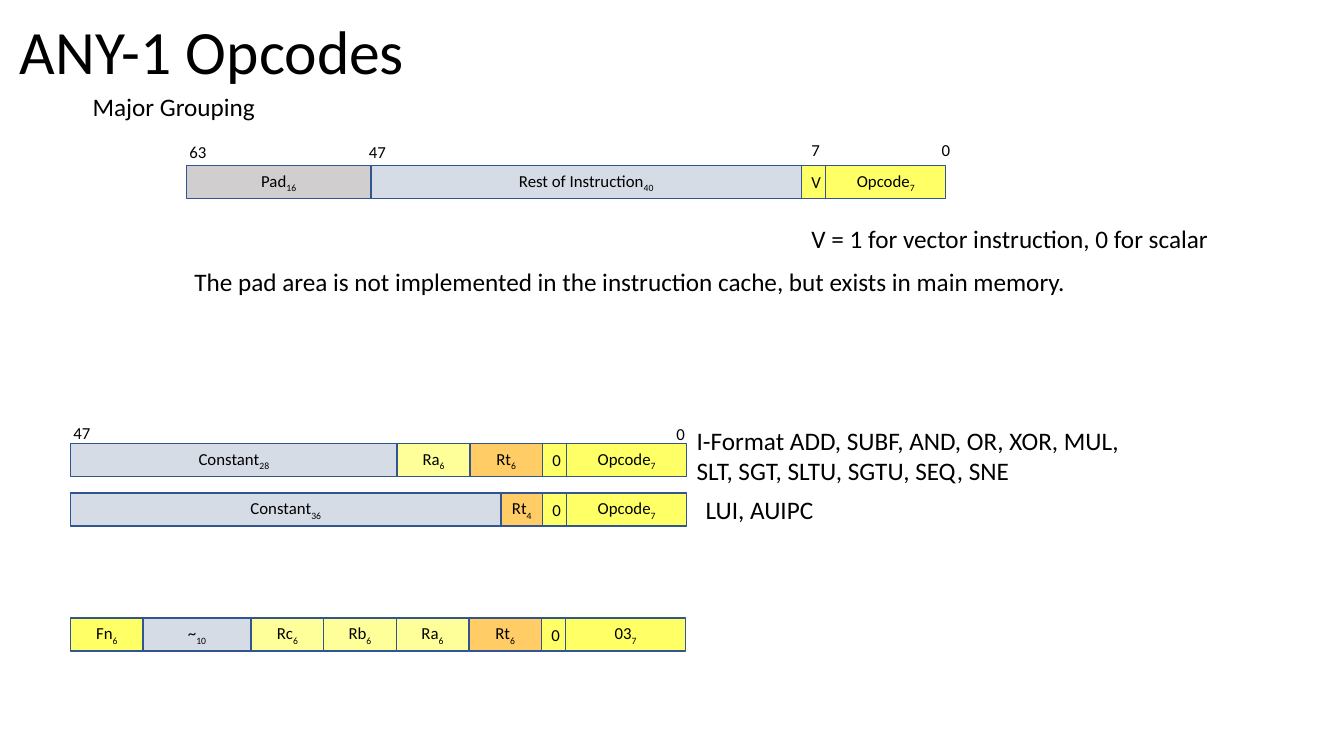
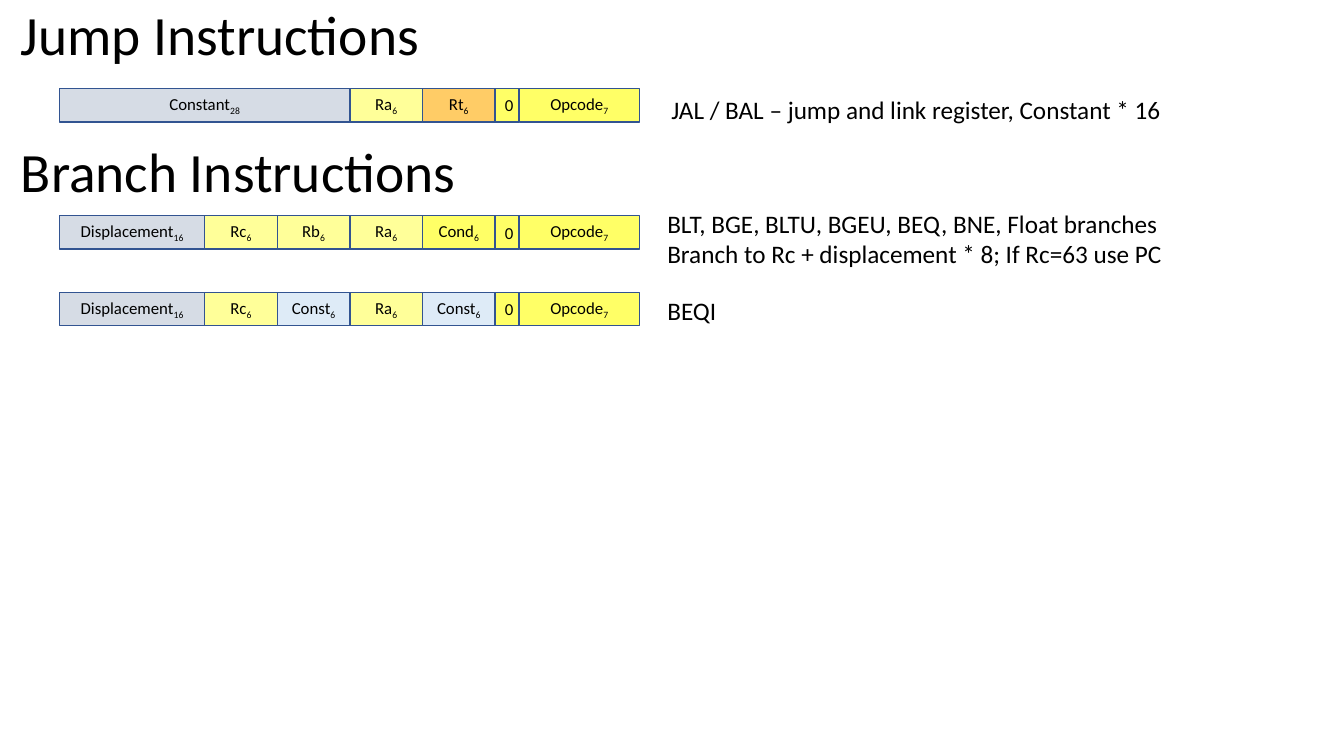
from pptx import Presentation
from pptx import util as u
from pptx.dml.color import RGBColor
from pptx.enum import shapes, text

SLIDE_WIDTH, SLIDE_HEIGHT = 13.33, 7.5
FONT = "Calibri"
COLOURS = {
    "ink": "000000", "outline": "325491", "code": "FFFF66", "source": "FFFF99",
    "target": "FFCC66", "value": "D6DCE5", "constant": "DEEBF7", "pad": "D0CECE",
}
FIELD_HEIGHT, REGISTER, FLAG, CODE = 0.33, 0.72, 0.24, 1.19
TITLE_WIDTH = 11.5
LABEL_SIZE, NOTE_SIZE = 12, 18

OPCODE = ("Opcode", "7", "code", CODE)
SCALAR = ("0", "", "code", FLAG)
RA, RB, RC = [(name, "6", "source", REGISTER) for name in ("Ra", "Rb", "Rc")]
RT = ("Rt", "6", "target", REGISTER)
CONST = ("Const", "6", "constant", REGISTER)
DISPLACEMENT = ("Displacement", "16", "value", 2 * REGISTER)

SLIDES = [
    {
        "titles": [("ANY-1 Opcodes", 0.1, 0.1, 0.89, 44, 0.9)],
        "formats": [
            (1.85, 1.64, [("Pad", "16", "pad", 1.83),
                          ("Rest of Instruction", "40", "value", 4.27),
                          ("V", "", "code", FLAG), OPCODE]),
            (0.7, 4.4, [("Constant", "28", "value", 3.24), RA, RT, SCALAR, OPCODE]),
            (0.7, 4.89, [("Constant", "36", "value", 4.27),
                         ("Rt", "4", "target", 0.41), SCALAR, OPCODE]),
            (0.7, 6.13, [("Fn", "6", "code", REGISTER), ("~", "10", "value", 1.07),
                         RC, RB, RA, RT, SCALAR, ("03", "7", "code", CODE)]),
        ],
        "bits": [("63", 1.78, 1.36, 0.37), ("47", 3.56, 1.36, 0.37),
                 ("7", 7.95, 1.34, 0.29), ("0", 9.24, 1.34, 0.29),
                 ("47", 0.63, 4.14, 0.37), ("0", 6.61, 4.15, 0.29)],
        "notes": [
            (["Major Grouping"], 0.82, 0.86, 1.83, False),
            (["V = 1 for vector instruction, 0 for scalar"], 7.95, 2.17, 4.18, False),
            (["The pad area is not implemented in the instruction cache, "
              "but exists in main memory."], 1.83, 2.59, 8.95, False),
            (["I-Format ADD, SUBF, AND, OR, XOR, MUL,",
              "SLT, SGT, SLTU, SGTU, SEQ, SNE"], 6.81, 4.17, 6.19, True),
            (["LUI, AUIPC"], 6.9, 4.85, 1.28, False),
        ],
    },
    {
        "titles": [("Jump Instructions", 0.11, 0.03, 0.68, 39.6, 0.9),
                   ("Branch Instructions", 0.11, 1.41, 0.68, 39.6, 0.8)],
        "formats": [
            (0.59, 0.88, [("Constant", "28", "value", 4 * REGISTER),
                          RA, RT, SCALAR, OPCODE]),
            (0.59, 2.14, [DISPLACEMENT, RC, RB, RA,
                          ("Cond", "6", "code", REGISTER), SCALAR, OPCODE]),
            (0.59, 2.9, [DISPLACEMENT, RC, CONST, RA, CONST, SCALAR, OPCODE]),
        ],
        "bits": [],
        "notes": [
            (["JAL / BAL – jump and link register, Constant * 16"],
             6.56, 0.89, 5.11, False),
            (["BLT, BGE, BLTU, BGEU, BEQ, BNE, Float branches",
              "Branch to Rc + displacement * 8; If Rc=63 use PC"],
             6.52, 2.02, 5.17, False),
            (["BEQI"], 6.52, 2.88, 0.69, False),
        ],
    },
]


def colour(name):
    return RGBColor.from_string(COLOURS[name])


def inches(*lengths):
    return [u.Inches(length) for length in lengths]


def add_run(paragraph, words, size):
    run = paragraph.add_run()
    run.text = words
    run.font.name = FONT
    run.font.size = u.Pt(size)
    run.font.color.rgb = colour("ink")
    return run


def add_text(slide, lines, left, top, width, height, size, wrap):
    frame = slide.shapes.add_textbox(*inches(left, top, width, height)).text_frame
    frame.word_wrap = wrap
    for index, line in enumerate(lines):
        paragraph = frame.add_paragraph() if index else frame.paragraphs[0]
        add_run(paragraph, line, size)
    return frame


def add_title(slide, words, left, top, height, size, spacing):
    frame = add_text(slide, [words], left, top, TITLE_WIDTH, height, size, True)
    frame.vertical_anchor = text.MSO_ANCHOR.MIDDLE
    frame.paragraphs[0].line_spacing = spacing


def add_field(slide, left, top, width, name, bits, fill):
    shape = slide.shapes.add_shape(
        shapes.MSO_SHAPE.RECTANGLE, *inches(left, top, width, FIELD_HEIGHT))
    shape.shadow.inherit = False
    shape.fill.solid()
    shape.fill.fore_color.rgb = colour(fill)
    shape.line.color.rgb = colour("outline")
    shape.line.width = u.Pt(1)
    shape.text_frame.vertical_anchor = text.MSO_ANCHOR.MIDDLE
    paragraph = shape.text_frame.paragraphs[0]
    paragraph.alignment = text.PP_ALIGN.CENTER
    add_run(paragraph, name, LABEL_SIZE)
    if bits:
        subscript = add_run(paragraph, bits, LABEL_SIZE)
        subscript._r.get_or_add_rPr().set("baseline", "-25000")


def add_format(slide, left, top, fields):
    for name, bits, fill, width in fields:
        add_field(slide, left, top, width, name, bits, fill)
        left += width


def build_slide(presentation, content):
    slide = presentation.slides.add_slide(presentation.slide_layouts[6])
    for title in content["titles"]:
        add_title(slide, *title)
    for row in content["formats"]:
        add_format(slide, *row)
    for number, left, top, width in content["bits"]:
        frame = add_text(slide, [number], left, top, width, 0.3, LABEL_SIZE, False)
        frame.auto_size = text.MSO_AUTO_SIZE.SHAPE_TO_FIT_TEXT
    for lines, left, top, width, wrap in content["notes"]:
        height = 0.1 + 0.3 * len(lines)
        frame = add_text(slide, lines, left, top, width, height, NOTE_SIZE, wrap)
        frame.auto_size = text.MSO_AUTO_SIZE.SHAPE_TO_FIT_TEXT


def main():
    presentation = Presentation()
    presentation.slide_width, presentation.slide_height = inches(SLIDE_WIDTH, SLIDE_HEIGHT)
    for content in SLIDES:
        build_slide(presentation, content)
    presentation.save("out.pptx")


if __name__ == "__main__":
    main()
